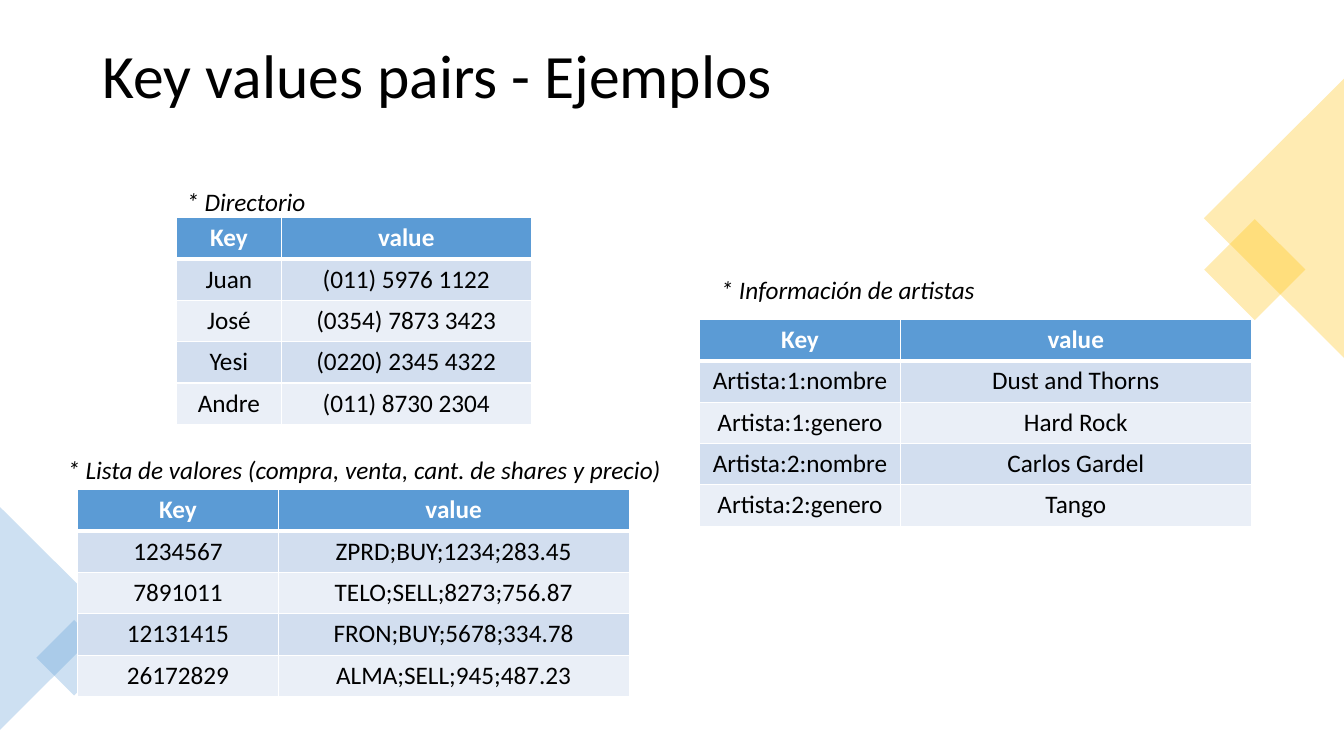
from dataclasses import dataclass

from lxml import etree
from pptx import Presentation
from pptx import util as u
from pptx.dml import color as dml
from pptx.enum import shapes, text
from pptx.oxml import ns

FONT = "Calibri"
BLACK, WHITE = "000000", "FFFFFF"
BLUE, GOLD = "5B9BD5", "FFC000"
BANDS = ("D2DEEF", "EAEFF7")
ROW_HEIGHT = 0.41
SHAPE = shapes.MSO_SHAPE


@dataclass
class Ornament:
    kind: int
    box: tuple[float, float, float, float]
    rotation: int
    color: str


@dataclass
class PairTable:
    caption: str
    caption_box: tuple[float, float, float, float]
    left: float
    top: float
    widths: tuple[float, float]
    pairs: list[tuple[str, str]]


ORNAMENTS = [
    Ornament(SHAPE.RECTANGLE, (12.09, 2.32, 0.71, 0.71), 45, GOLD),
    Ornament(SHAPE.ISOSCELES_TRIANGLE, (11.25, 1.47, 2.77, 1.39), 270, GOLD),
    Ornament(SHAPE.ISOSCELES_TRIANGLE, (-0.55, 5.58, 2.21, 1.11), 90, BLUE),
    Ornament(SHAPE.RECTANGLE, (0.47, 6.26, 0.53, 0.53), 45, BLUE),
]

PAIR_TABLES = [
    PairTable("* Directorio", (1.75, 1.8, 1.9, 0.4), 1.75, 2.16, (1.04, 2.48), [
        ("Juan", "(011) 5976 1122"),
        ("José", "(0354) 7873 3423"),
        ("Yesi", "(0220) 2345 4322"),
        ("Andre", "(011) 8730 2304"),
    ]),
    PairTable("* Información de artistas", (7.05, 2.67, 3.21, 0.4), 6.94, 3.17, (1.99, 3.48), [
        ("Artista:1:nombre", "Dust and Thorns"),
        ("Artista:1:genero", "Hard Rock"),
        ("Artista:2:nombre", "Carlos Gardel"),
        ("Artista:2:genero", "Tango"),
    ]),
    PairTable("* Lista de valores (compra, venta, cant. de shares y precio)",
              (0.57, 4.46, 6.17, 0.4), 0.77, 4.86, (1.99, 3.48), [
        ("1234567", "ZPRD;BUY;1234;283.45"),
        ("7891011", "TELO;SELL;8273;756.87"),
        ("12131415", "FRON;BUY;5678;334.78"),
        ("26172829", "ALMA;SELL;945;487.23"),
    ]),
]


def rgb(value: str) -> dml.RGBColor:
    return dml.RGBColor.from_string(value)


def inches(values) -> list[int]:
    return [u.Inches(value) for value in values]


def write(frame, content: str, *, size=18, color=BLACK, bold=False, italic=False,
          align=text.PP_ALIGN.LEFT, spacing=None) -> None:
    paragraph = frame.paragraphs[0]
    paragraph.alignment = align
    if spacing:
        paragraph.line_spacing = spacing
    run = paragraph.add_run()
    run.text = content
    font = run.font
    font.name, font.size = FONT, u.Pt(size)
    font.bold, font.italic = bold, italic
    font.color.rgb = rgb(color)


def add_text(slide, box, content: str, **style) -> None:
    frame = slide.shapes.add_textbox(*inches(box)).text_frame
    frame.word_wrap = True
    write(frame, content, **style)


def add_ornament(slide, item: Ornament) -> None:
    ornament = slide.shapes.add_shape(item.kind, *inches(item.box))
    ornament.rotation = item.rotation
    ornament.shadow.inherit = False
    ornament.line.fill.background()
    ornament.fill.solid()
    ornament.fill.fore_color.rgb = rgb(item.color)
    # 30 % opacity
    tint = ornament.fill._xPr.find(".//" + ns.qn("a:srgbClr"))
    etree.SubElement(tint, ns.qn("a:alpha"), val="30000")


def set_borders(cell, top: int, bottom: int) -> None:
    properties = cell._tc.get_or_add_tcPr()
    for side, points in (("L", 1), ("R", 1), ("T", top), ("B", bottom)):
        border = etree.SubElement(properties, ns.qn(f"a:ln{side}"), w=str(u.Pt(points)))
        fill = etree.SubElement(border, ns.qn("a:solidFill"))
        etree.SubElement(fill, ns.qn("a:srgbClr"), val=WHITE)


def add_pair_table(slide, item: PairTable) -> None:
    rows = [("Key", "value"), *item.pairs]
    box = (item.left, item.top, sum(item.widths), ROW_HEIGHT * len(rows))
    table = slide.shapes.add_table(len(rows), len(item.widths), *inches(box)).table
    for column, width in zip(table.columns, item.widths):
        column.width = u.Inches(width)
    for r, pair in enumerate(rows):
        header = r == 0
        for c, content in enumerate(pair):
            cell = table.cell(r, c)
            set_borders(cell, top=3 if r == 1 else 1, bottom=3 if header else 1)
            cell.fill.solid()
            cell.fill.fore_color.rgb = rgb(BLUE if header else BANDS[(r - 1) % 2])
            write(cell.text_frame, content, bold=header,
                  color=WHITE if header else BLACK, align=text.PP_ALIGN.CENTER)


def main() -> None:
    deck = Presentation()
    deck.slide_width, deck.slide_height = inches((13.33, 7.5))
    slide = deck.slides.add_slide(deck.slide_layouts[6])

    # Corner ornaments
    for ornament in ORNAMENTS:
        add_ornament(slide, ornament)

    # Title
    add_text(slide, (0.92, 0.4, 11.5, 1.45), "Key values pairs - Ejemplos",
             size=44, spacing=0.9)

    # Tables, then their captions
    for pair_table in PAIR_TABLES:
        add_pair_table(slide, pair_table)
    for pair_table in PAIR_TABLES:
        add_text(slide, pair_table.caption_box, pair_table.caption, italic=True)

    deck.save("out.pptx")


if __name__ == "__main__":
    main()
